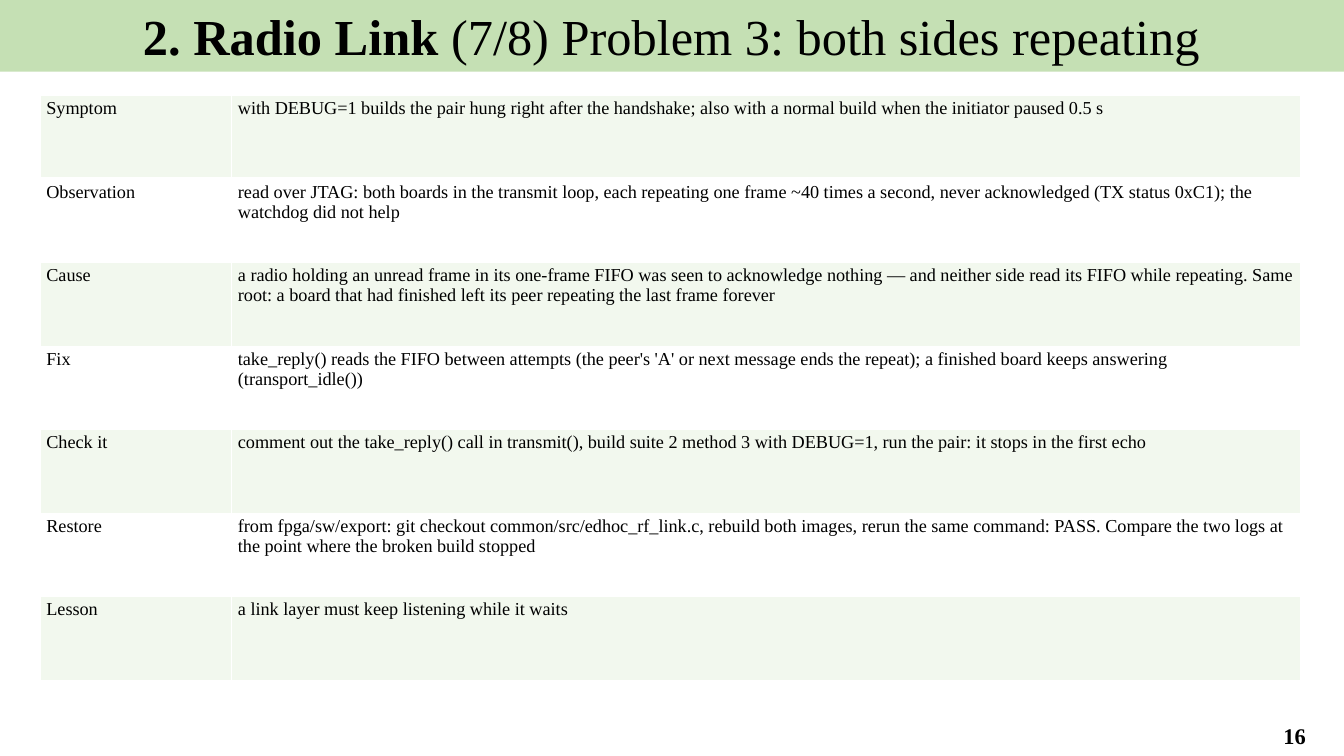
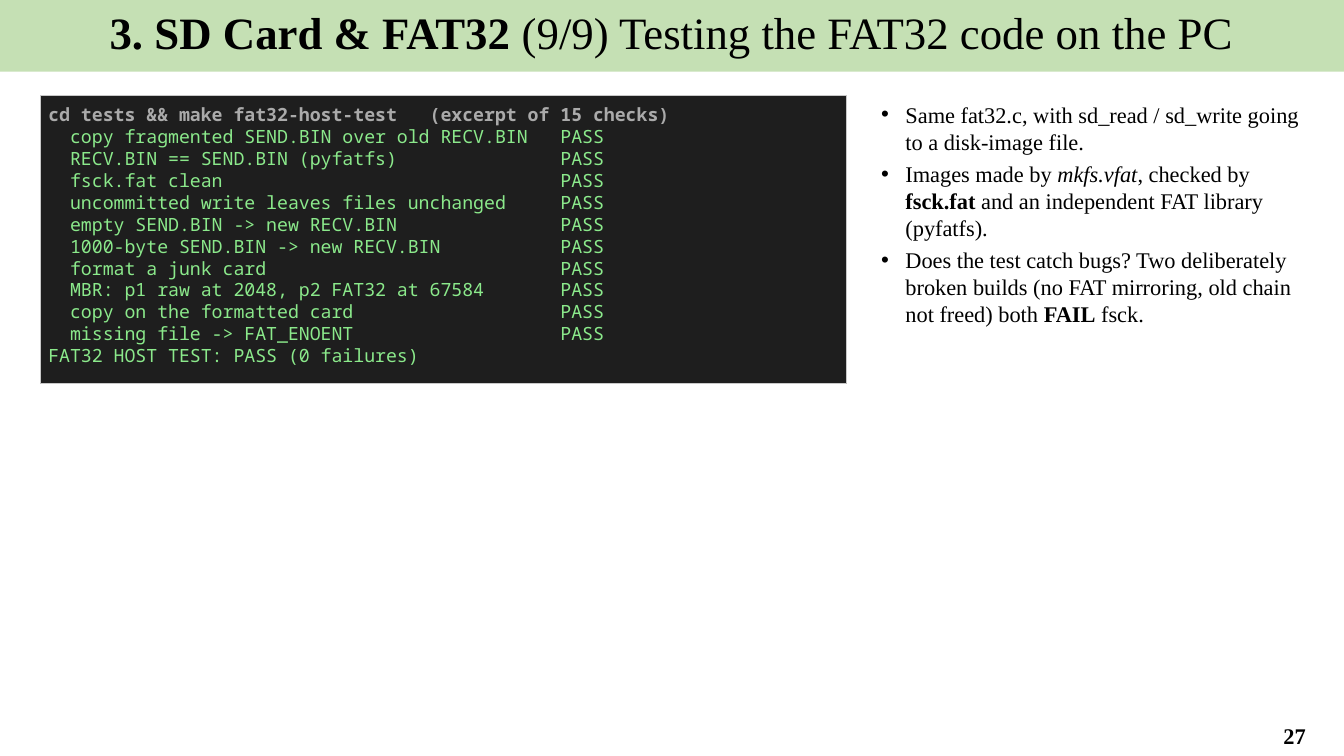
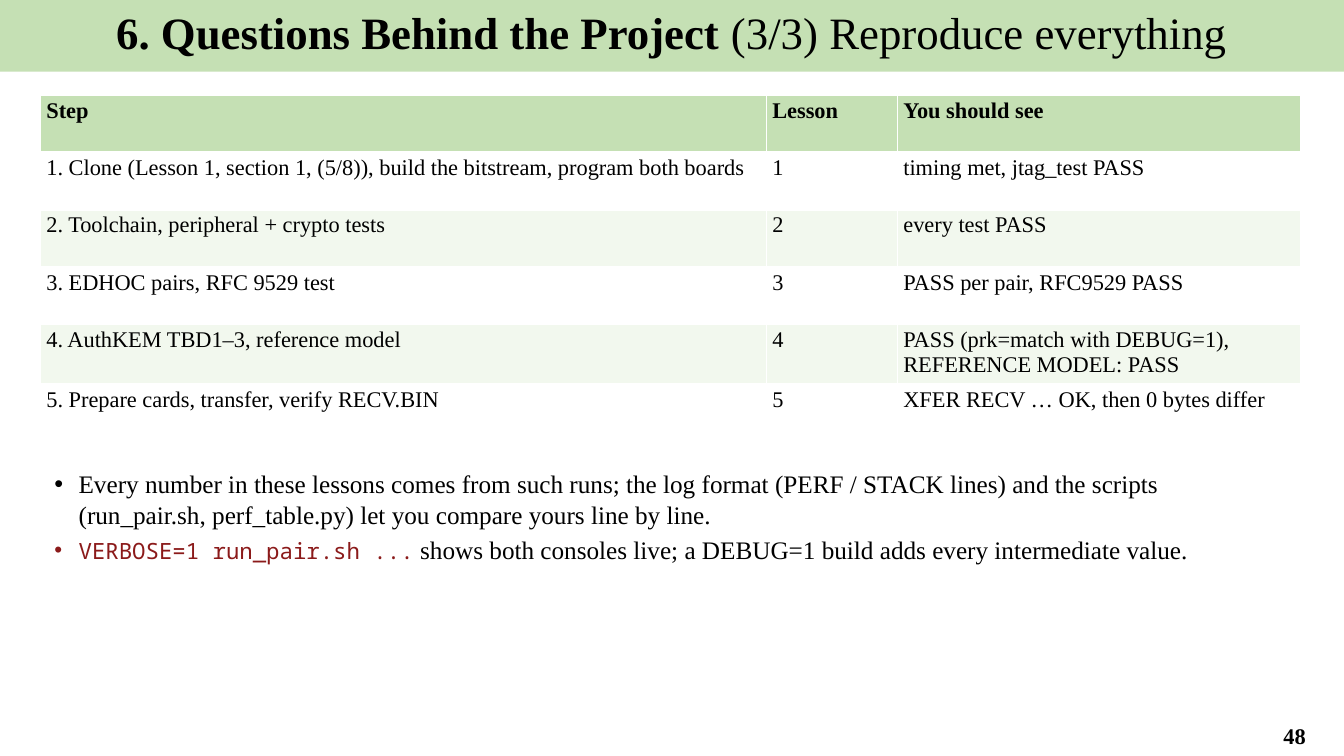
from lxml.etree import SubElement
from pptx import Presentation
from pptx.dml.color import RGBColor
from pptx.enum.shapes import MSO_SHAPE
from pptx.enum.text import MSO_ANCHOR, MSO_AUTO_SIZE, PP_ALIGN
from pptx.oxml.ns import qn
from pptx.util import Inches, Pt

# Shared look
SERIF, MONO = "Times New Roman", "Noto Sans Mono"
GREEN, PALE, WHITE, BLACK = "C5E0B4", "F2F8EE", "FFFFFF", "000000"
DARK, EDGE, GREY, LIME, RED = "1E1E1E", "C8C8C8", "AAAAAA", "8BE98B", "8B1A1A"
W, H = 13.33, 7.5
LEFT, TOP, WIDTH = 0.4, 0.95, 12.5
TITLE_ONLY, TITLE_BODY = 5, 1

# Content
PROBLEM = [
    ("Symptom", "with DEBUG=1 builds the pair hung right after the handshake; also with a "
     "normal build when the initiator paused 0.5 s"),
    ("Observation", "read over JTAG: both boards in the transmit loop, each repeating one frame "
     "~40 times a second, never acknowledged (TX status 0xC1); the watchdog did not help"),
    ("Cause", "a radio holding an unread frame in its one-frame FIFO was seen to acknowledge "
     "nothing — and neither side read its FIFO while repeating. Same root: a board that had "
     "finished left its peer repeating the last frame forever"),
    ("Fix", "take_reply() reads the FIFO between attempts (the peer's 'A' or next message ends "
     "the repeat); a finished board keeps answering (transport_idle())"),
    ("Check it", "comment out the take_reply() call in transmit(), build suite 2 method 3 with "
     "DEBUG=1, run the pair: it stops in the first echo"),
    ("Restore", "from fpga/sw/export: git checkout common/src/edhoc_rf_link.c, rebuild both "
     "images, rerun the same command: PASS. Compare the two logs at the point where the broken "
     "build stopped"),
    ("Lesson", "a link layer must keep listening while it waits"),
]

COMMAND = "cd tests && make fat32-host-test   (excerpt of 15 checks)"
CHECKS = [
    "copy fragmented SEND.BIN over old RECV.BIN",
    "RECV.BIN == SEND.BIN (pyfatfs)",
    "fsck.fat clean",
    "uncommitted write leaves files unchanged",
    "empty SEND.BIN -> new RECV.BIN",
    "1000-byte SEND.BIN -> new RECV.BIN",
    "format a junk card",
    "MBR: p1 raw at 2048, p2 FAT32 at 67584",
    "copy on the formatted card",
    "missing file -> FAT_ENOENT",
]
VERDICT = "FAT32 HOST TEST: PASS (0 failures)"

# Each bullet is a list of (text, format) runs
TEST_NOTES = [
    [("Same fat32.c, with sd_read / sd_write going to a disk-image file.", {})],
    [("Images made by ", {}), ("mkfs.vfat", {"italic": True}), (", checked by ", {}),
     ("fsck.fat", {"bold": True}), (" and an independent FAT library (pyfatfs).", {})],
    [("Does the test catch bugs? Two deliberately broken builds (no FAT mirroring, old chain "
      "not freed) both ", {}), ("FAIL", {"bold": True}), (" fsck.", {})],
]

STEPS = [
    ("Step", "Lesson", "You should see"),
    ("1. Clone (Lesson 1, section 1, (5/8)), build the bitstream, program both boards", "1",
     "timing met, jtag_test PASS"),
    ("2. Toolchain, peripheral + crypto tests", "2", "every test PASS"),
    ("3. EDHOC pairs, RFC 9529 test", "3", "PASS per pair, RFC9529 PASS"),
    ("4. AuthKEM TBD1–3, reference model", "4",
     "PASS (prk=match with DEBUG=1), REFERENCE MODEL: PASS"),
    ("5. Prepare cards, transfer, verify RECV.BIN", "5", "XFER RECV … OK, then 0 bytes differ"),
]
RUN_NOTES = [
    [("Every number in these lessons comes from such runs; the log format (PERF / STACK lines) "
      "and the scripts (run_pair.sh, perf_table.py) let you compare yours line by line.", {})],
    [("VERBOSE=1 run_pair.sh ...", {"size": 16, "font": MONO, "color": RED}),
     (" shows both consoles live; a DEBUG=1 build adds every intermediate value.", {})],
]


# Helpers
def rgb(color):
    return RGBColor.from_string(color)


def paint(fill, color):
    fill.solid()
    fill.fore_color.rgb = rgb(color)


def add_run(p, text, size=16, font=SERIF, color=BLACK, bold=False, italic=False):
    r = p.add_run()
    r.text = text
    f = r.font
    f.size, f.name, f.bold, f.italic = Pt(size), font, bold, italic
    f.color.rgb = rgb(color)


def place(sp, *box):
    sp.left, sp.top, sp.width, sp.height = map(Inches, box)


def paragraphs(tf, count):
    """Yield the first paragraph of a frame, then new ones."""
    for i in range(count):
        yield tf.add_paragraph() if i else tf.paragraphs[0]


def new_slide(prs, layout, section, topic, number, size=32):
    s = prs.slides.add_slide(prs.slide_layouts[layout])
    # Title band
    band = s.shapes.title
    place(band, -0.01, 0, W + 0.01, 0.71)
    paint(band.fill, GREEN)
    tf = band.text_frame
    tf.auto_size, tf.vertical_anchor = MSO_AUTO_SIZE.NONE, MSO_ANCHOR.TOP
    p = tf.paragraphs[0]
    p.alignment = PP_ALIGN.CENTER
    add_run(p, section + " ", size=size, bold=True)
    add_run(p, topic, size=size)
    # Page number
    tf = s.shapes.add_textbox(*map(Inches, (12.35, 7.1, 0.98, 0.39))).text_frame
    tf.word_wrap, tf.vertical_anchor = True, MSO_ANCHOR.MIDDLE
    p = tf.paragraphs[0]
    p.alignment = PP_ALIGN.CENTER
    add_run(p, str(number), bold=True)
    return s


def border(cell, row):
    """White grid, heavier under the first row."""
    tcPr = cell._tc.get_or_add_tcPr()
    heavy = {(0, "lnB"), (1, "lnT")}
    for side in ("lnL", "lnR", "lnT", "lnB"):
        width = Pt(3 if (row, side) in heavy else 1)
        ln = SubElement(tcPr, qn("a:" + side), w=str(width))
        SubElement(SubElement(ln, qn("a:solidFill")), qn("a:srgbClr"), val=WHITE)


def add_grid(s, rows, widths, height, size, header=False):
    box = map(Inches, (LEFT, TOP, WIDTH, height))
    table = s.shapes.add_table(len(rows), len(widths), *box).table
    table.first_row = header
    for col, width in zip(table.columns, widths):
        col.width = Inches(width)
    for i, row in enumerate(rows):
        table.rows[i].height = Inches(height / len(rows))
        is_head = header and i == 0
        for j, text in enumerate(row):
            cell = table.cell(i, j)
            cell.margin_left = cell.margin_right = Inches(0.06)
            cell.margin_top = cell.margin_bottom = Inches(0.03)
            border(cell, i)
            paint(cell.fill, GREEN if is_head else WHITE if i % 2 else PALE)
            add_run(cell.text_frame.paragraphs[0], text, size=size, bold=is_head)


def fill_bullets(s, box, items, size):
    body = s.placeholders[1]
    place(body, *box)
    tf = body.text_frame
    tf.auto_size = MSO_AUTO_SIZE.NONE
    for p, runs in zip(paragraphs(tf, len(items)), items):
        p.space_before, p.space_after = Pt(0), Pt(4)
        pPr = p._p.get_or_add_pPr()
        pPr.set("marL", str(Inches(0.28)))
        pPr.set("indent", str(Inches(-0.24)))
        SubElement(pPr, qn("a:buChar"), char="•")
        for text, style in runs:
            add_run(p, text, **{"size": size, **style})


def add_console(s, box, lines):
    sp = s.shapes.add_shape(MSO_SHAPE.RECTANGLE, *map(Inches, box))
    sp.shadow.inherit = False
    paint(sp.fill, DARK)
    sp.line.color.rgb, sp.line.width = rgb(EDGE), Pt(0.75)
    tf = sp.text_frame
    tf.word_wrap, tf.vertical_anchor = False, MSO_ANCHOR.TOP
    tf.margin_left = tf.margin_right = tf.margin_top = tf.margin_bottom = Inches(0.08)
    for i, p in enumerate(paragraphs(tf, len(lines))):
        p.alignment = PP_ALIGN.LEFT
        add_run(p, lines[i], size=13, font=MONO, color=LIME if i else GREY, bold=i == 0)


def main():
    prs = Presentation()
    prs.slide_width, prs.slide_height = Inches(W), Inches(H)

    # Radio link problem
    s = new_slide(prs, TITLE_ONLY, "2. Radio Link", "(7/8) Problem 3: both sides repeating",
                  16, size=36)
    add_grid(s, PROBLEM, (1.9, 10.6), 5.8, 13)

    # Host test of the file system
    s = new_slide(prs, TITLE_BODY, "3. SD Card & FAT32",
                  "(9/9) Testing the FAT32 code on the PC", 27)
    log = [COMMAND, *(f"  {check:<45}PASS" for check in CHECKS), VERDICT]
    add_console(s, (LEFT, TOP, 8, 2.86), log)
    fill_bullets(s, (8.6, TOP, 4.5, 6), TEST_NOTES, 16)

    # Steps to reproduce
    s = new_slide(prs, TITLE_BODY, "6. Questions Behind the Project",
                  "(3/3) Reproduce everything", 48)
    add_grid(s, STEPS, (7.2, 1.3, 4), 3.4, 16, header=True)
    fill_bullets(s, (LEFT, 4.6, WIDTH, 2), RUN_NOTES, 18)

    prs.save("out.pptx")


if __name__ == "__main__":
    main()
